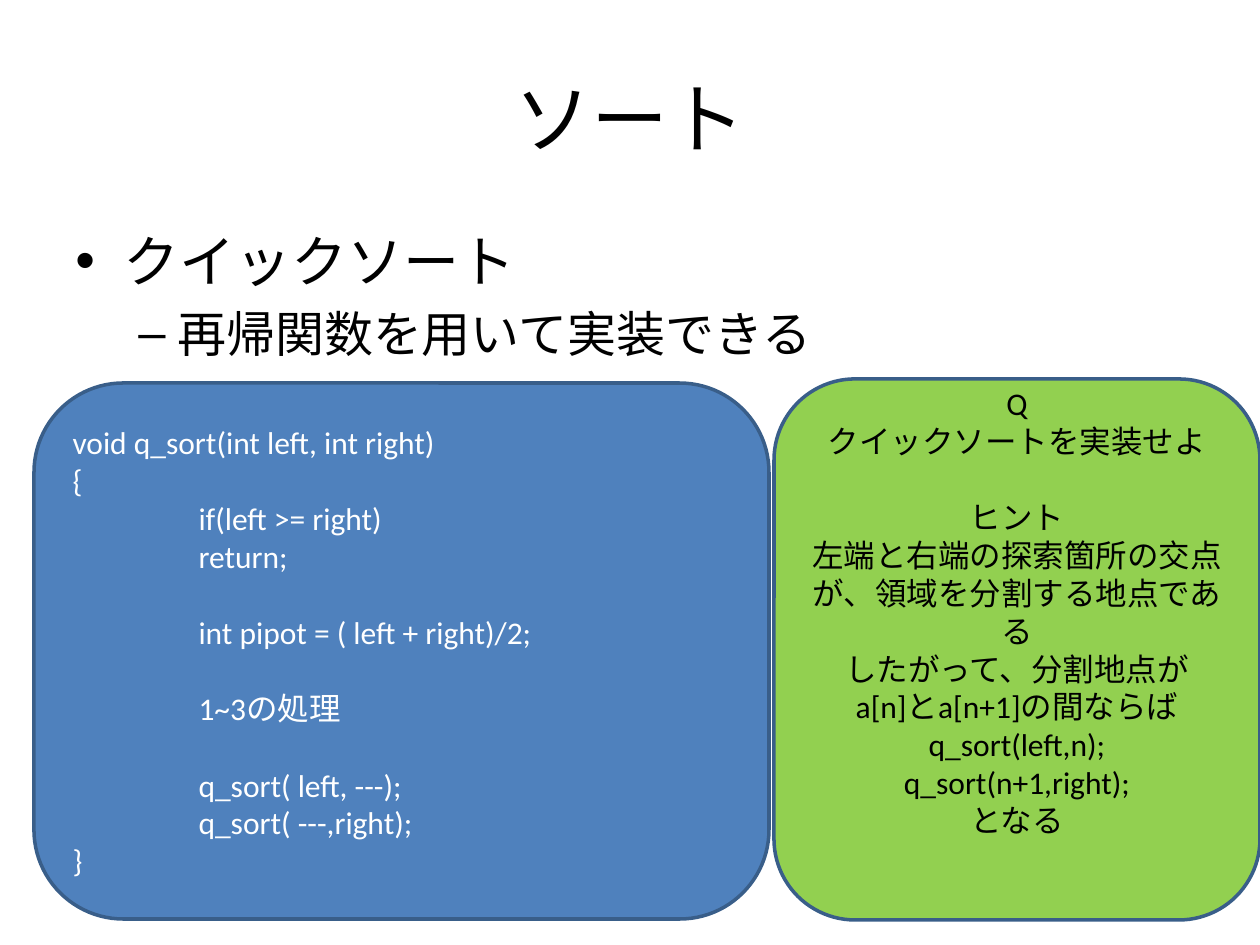
from dataclasses import dataclass

from lxml.etree import SubElement
from pptx import Presentation
from pptx.dml.color import RGBColor
from pptx.enum.shapes import MSO_SHAPE
from pptx.enum.text import MSO_ANCHOR, PP_ALIGN
from pptx.oxml.ns import qn
from pptx.util import Emu, Pt

SCALE = 914400 / 126
FONT = "Calibri"
LINE_GAP = 22


@dataclass
class Line:
    text: str
    indent: int = 0
    before: float = 0


@dataclass
class Panel:
    x: int
    y: int
    w: int
    h: int
    fill: str
    color: str
    align: PP_ALIGN
    lines: list[Line]
    bottom: int = 6


def px(n: int) -> Emu:
    return Emu(round(n * SCALE))


def rgb(color: str) -> RGBColor:
    return RGBColor.from_string(color)


def add_text(tf, text: str, *, size: int, color: str = "000000",
             align: PP_ALIGN = PP_ALIGN.LEFT, before: float = 0,
             indent: int = 0, hang: int = 0, bullet: str = "") -> None:
    p = tf.paragraphs[0]
    if p.runs:
        p = tf.add_paragraph()
    p.alignment = align
    p.space_before = Pt(before)
    pPr = p._p.get_or_add_pPr()
    pPr.set("marL", str(px(indent)))
    pPr.set("indent", str(px(-hang)))
    if bullet:
        SubElement(pPr, qn("a:buFont")).set("typeface", "Arial")
        SubElement(pPr, qn("a:buChar")).set("char", bullet)
    r = p.add_run()
    r.text = text
    r.font.size = Pt(size)
    r.font.name = FONT
    r.font.color.rgb = rgb(color)


def add_box(slide, x: int, y: int, w: int, h: int, anchor: MSO_ANCHOR):
    tf = slide.shapes.add_textbox(px(x), px(y), px(w), px(h)).text_frame
    tf.word_wrap = True
    tf.vertical_anchor = anchor
    return tf


def add_panel(slide, panel: Panel) -> None:
    sp = slide.shapes.add_shape(MSO_SHAPE.ROUNDED_RECTANGLE, px(panel.x),
                                px(panel.y), px(panel.w), px(panel.h))
    sp.shadow.inherit = False
    sp.fill.solid()
    sp.fill.fore_color.rgb = rgb(panel.fill)
    sp.line.color.rgb = rgb("395E89")
    sp.line.width = Pt(2)
    tf = sp.text_frame
    tf.word_wrap = True
    tf.vertical_anchor = MSO_ANCHOR.MIDDLE
    tf.margin_bottom = px(panel.bottom)
    for line in panel.lines:
        add_text(tf, line.text, size=18, color=panel.color, align=panel.align,
                 before=line.before, indent=line.indent)


HINT = Panel(774, 379, 486, 541, "92D050", "000000", PP_ALIGN.CENTER, [
    Line("Q"),
    Line("クイックソートを実装せよ"),
    Line("ヒント", before=LINE_GAP),
    Line("左端と右端の探索箇所の交点が、領域を分割する地点である"),
    Line("したがって、分割地点が"),
    Line("a[n]とa[n+1]の間ならば"),
    Line("q_sort(left,n);"),
    Line("q_sort(n+1,right);"),
    Line("となる"),
], bottom=82)

CODE = Panel(34, 383, 735, 536, "4F81BD", "FFFFFF", PP_ALIGN.LEFT, [
    Line("void q_sort(int left, int right)"),
    Line("{"),
    Line("if(left >= right)", 126),
    Line("return;", 126),
    Line("int pipot = ( left + right)/2;", 126, LINE_GAP),
    Line("1~3の処理", 126, LINE_GAP),
    Line("q_sort( left, ---);", 126, LINE_GAP),
    Line("q_sort( ---,right);", 126),
    Line("}"),
])


def main() -> None:
    prs = Presentation()
    prs.slide_width, prs.slide_height = px(1260), px(945)
    slide = prs.slides.add_slide(prs.slide_layouts[6])

    title = add_box(slide, 63, 38, 1134, 157, MSO_ANCHOR.MIDDLE)
    add_text(title, "ソート", size=44, align=PP_ALIGN.CENTER)

    body = add_box(slide, 63, 220, 1134, 624, MSO_ANCHOR.TOP)
    add_text(body, "クイックソート", size=32, indent=48, hang=48, bullet="•")
    add_text(body, "再帰関数を用いて実装できる", size=28, before=5.6,
             indent=102, hang=39, bullet="–")

    for panel in (HINT, CODE):
        add_panel(slide, panel)
    prs.save("out.pptx")


if __name__ == "__main__":
    main()
